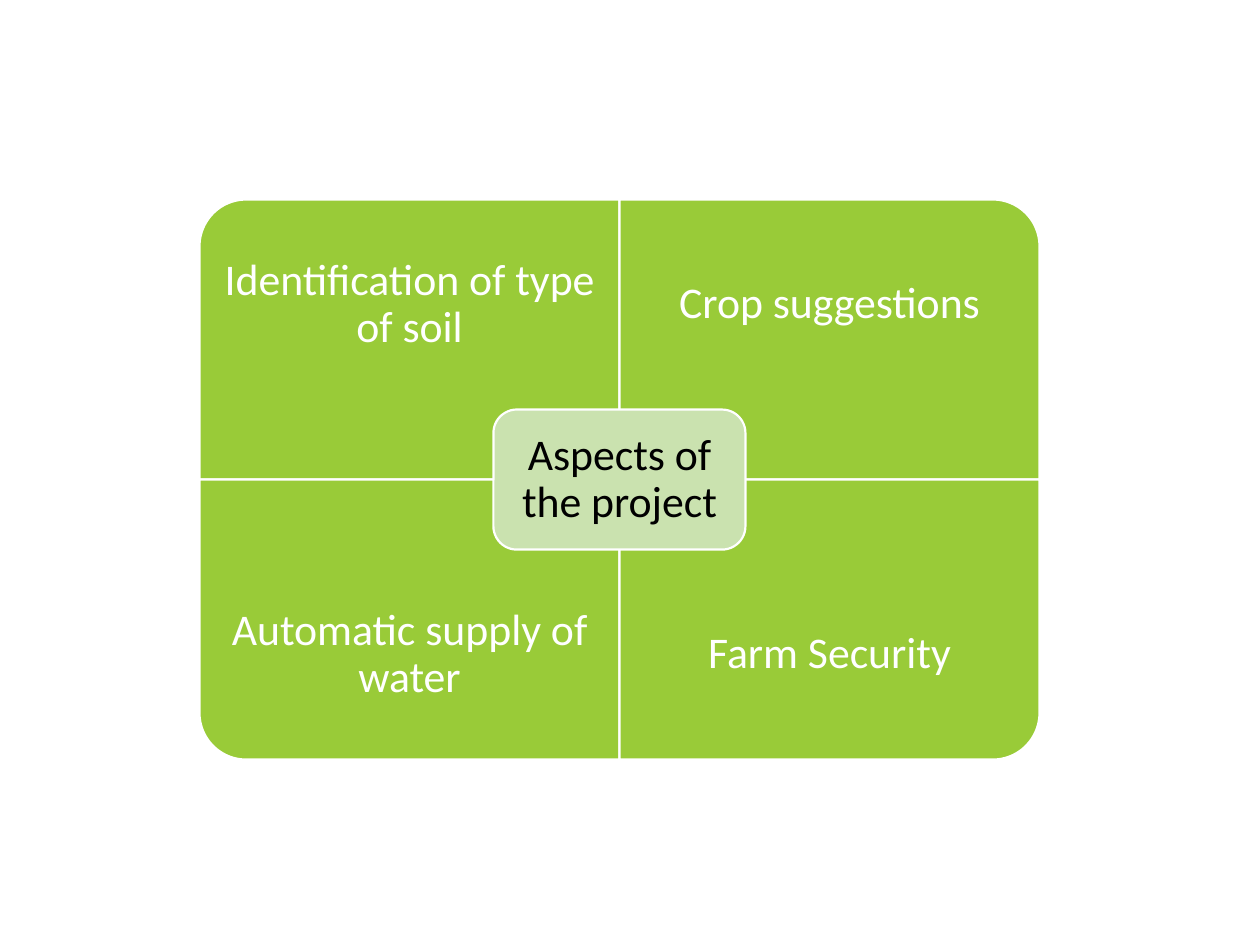
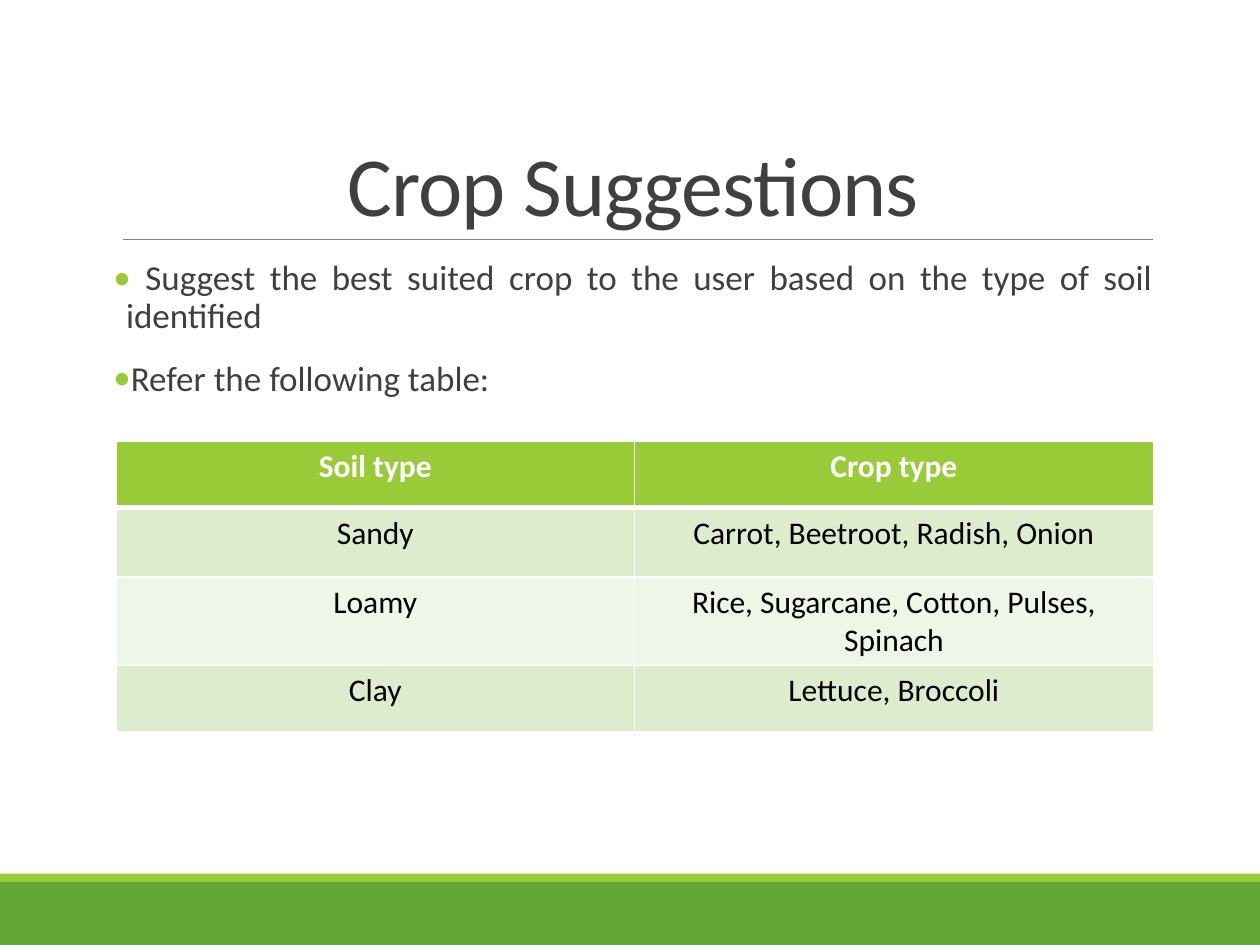
from itertools import product

from lxml.etree import SubElement
from pptx import Presentation
from pptx.dml.color import RGBColor
from pptx.enum.shapes import MSO_CONNECTOR, MSO_SHAPE as Preset
from pptx.enum.text import MSO_ANCHOR as Anchor, PP_ALIGN as Align
from pptx.oxml.ns import qn
from pptx.util import Emu, Inches, Pt

COLORS = {
    "lime": "99CB38", "green": "63A537", "mint": "CAE2AF",
    "row": "DEECCE", "pale_row": "EFF6E8",
    "white": "FFFFFF", "black": "000000", "text": "404040", "rule": "808080",
}
COLUMNS, ROWS = 120, 90


def rgb(name):
    return RGBColor.from_string(COLORS[name])


class Designer:
    font = "Calibri"

    def __init__(self):
        self.deck = Presentation()
        self.deck.slide_width, self.deck.slide_height = Inches(10), Inches(7.5)
        self.cell_width = self.deck.slide_width / COLUMNS
        self.cell_height = self.deck.slide_height / ROWS
        self.page = None

    def add_page(self):
        self.page = self.deck.slides.add_slide(self.deck.slide_layouts[6])

    def place(self, column, row, columns, rows):
        return (Emu(round(column * self.cell_width)), Emu(round(row * self.cell_height)),
                Emu(round(columns * self.cell_width)), Emu(round(rows * self.cell_height)))

    def shape(self, preset, area, fill, outline=None, rotation=0):
        column, row, columns, rows = area
        if rotation % 180:
            column += (columns - rows) / 2
            row += (rows - columns) / 2
            columns, rows = rows, columns
        shape = self.page.shapes.add_shape(preset, *self.place(column, row, columns, rows))
        shape.rotation = rotation
        shape.shadow.inherit = False
        shape.fill.solid()
        shape.fill.fore_color.rgb = rgb(fill)
        if outline:
            shape.line.color.rgb = rgb(outline)
            shape.line.width = Pt(1.25)
        else:
            shape.line.fill.background()

    def rule(self, column, row, columns):
        left, top, width, _ = self.place(column, row, columns, 0)
        line = self.page.shapes.add_connector(
            MSO_CONNECTOR.STRAIGHT, left, top, left + width, top)
        line.line.color.rgb = rgb("rule")
        line.line.width = Pt(0.5)
        SubElement(line.element.spPr, qn("a:effectLst"))

    def add_span(self, para, text, size, color, align=Align.CENTER, bold=False):
        para.alignment = align
        span = para.add_run()
        span.text = text
        span.font.name = self.font
        span.font.size = Pt(size)
        span.font.bold = bold
        span.font.color.rgb = rgb(color)
        return span

    def frame(self, area, anchor, side=0.1, edge=0.05):
        frame = self.page.shapes.add_textbox(*self.place(*area)).text_frame
        frame.word_wrap = True
        frame.vertical_anchor = anchor
        frame.margin_left = frame.margin_right = Inches(side)
        frame.margin_top = frame.margin_bottom = Inches(edge)
        return frame

    def label(self, area, text, color, inset):
        para = self.frame(area, Anchor.MIDDLE, inset, inset).paragraphs[0]
        para.line_spacing = 0.9
        self.add_span(para, text, 25, color)

    def title(self, text):
        para = self.frame((10.8, 3.72, 99, 19.08), Anchor.BOTTOM).paragraphs[0]
        para.line_spacing = 0.85
        span = self.add_span(para, text, 48, "text")
        span.font._element.set("spc", "-50")
        self.rule(11.76, 22.8, 98.04)

    def bullets(self, area, items):
        frame = self.frame(area, Anchor.TOP, side=0)
        for index, text in enumerate(items):
            para = frame.add_paragraph() if index else frame.paragraphs[0]
            para.line_spacing = 0.9
            para.space_before, para.space_after = Pt(12), Pt(2)
            self.add_span(para, text, 20, "text", Align.JUSTIFY)
            props = para._p.get_or_add_pPr()
            props.set("marL", str(Inches(0.1)))
            props.set("indent", str(-Inches(0.1)))
            tint = SubElement(props, qn("a:buClr"))
            SubElement(tint, qn("a:srgbClr"), val=COLORS["lime"])
            SubElement(props, qn("a:buFont"), typeface=self.font)
            SubElement(props, qn("a:buChar"), char="•")

    def borders(self, cell, top, bottom):
        props = cell._tc.get_or_add_tcPr()
        for position, (side, width) in enumerate(
                (("lnL", 1), ("lnR", 1), ("lnT", top), ("lnB", bottom))):
            line = SubElement(props, qn(f"a:{side}"), w=str(Pt(width)))
            fill = SubElement(line, qn("a:solidFill"))
            SubElement(fill, qn("a:srgbClr"), val=COLORS["white"])
            props.insert(position, line)

    def table(self, area, records, heights):
        table = self.page.shapes.add_table(
            len(records), len(records[0]), *self.place(*area)).table
        for line, height in zip(table.rows, heights):
            line.height = Inches(height)
        for row, column in product(range(len(records)), range(len(records[0]))):
            header = row == 0
            cell = table.cell(row, column)
            cell.fill.solid()
            cell.fill.fore_color.rgb = rgb(
                "lime" if header else "row" if row % 2 else "pale_row")
            self.borders(cell, 3 if row == 1 else 1, 3 if header else 1)
            self.add_span(cell.text_frame.paragraphs[0], records[row][column], 18,
                          "white" if header else "black", bold=header)

    def footer(self):
        self.shape(Preset.RECTANGLE, (0, 84, COLUMNS, 6), "green")
        self.shape(Preset.RECTANGLE, (0, 83.2, COLUMNS, 0.8), "lime")

    def matrix(self, center, quadrants):
        left, top, width, height, label_height = 19, 19, 40, 26.67, 20
        for index, (text, rotation) in enumerate(quadrants):
            row, column = divmod(index, 2)
            x, y = left + column * width, top + row * height
            self.shape(Preset.ROUND_1_RECTANGLE, (x, y, width, height),
                       "lime", "white", rotation)
            label_top = y + row * (height - label_height)
            self.label((x, label_top, width, label_height), text, "white", 0.19)
        hub_width, hub_height = width * 0.6, height / 2
        hub = (left + width - hub_width / 2, top + height - hub_height / 2,
               hub_width, hub_height)
        self.shape(Preset.ROUNDED_RECTANGLE, hub, "mint", "white")
        self.label((hub[0] + 0.65, hub[1] + 0.65, hub_width - 1.3, hub_height - 1.3),
                   center, "black", 0.1)


designer = Designer()

designer.add_page()
designer.matrix("Aspects of the project", [
    ("Identification of type of soil", 270),
    ("Crop suggestions", 0),
    ("Automatic supply of water", 180),
    ("Farm Security", 90),
])

designer.add_page()
designer.footer()
designer.title("Crop Suggestions")
designer.bullets((10.8, 24.24, 99, 52.8), [
    " Suggest the best suited crop to the user based on the type of soil identified",
    "Refer the following table:",
])
designer.table((11.04, 42, 98.8, 25.68), [
    ("Soil type", "Crop type"),
    ("Sandy", "Carrot, Beetroot, Radish, Onion"),
    ("Loamy", "Rice, Sugarcane, Cotton, Pulses, Spinach"),
    ("Clay", "Lettuce, Broccoli"),
], [0.53, 0.55, 0.53, 0.53])

designer.deck.save("out.pptx")
